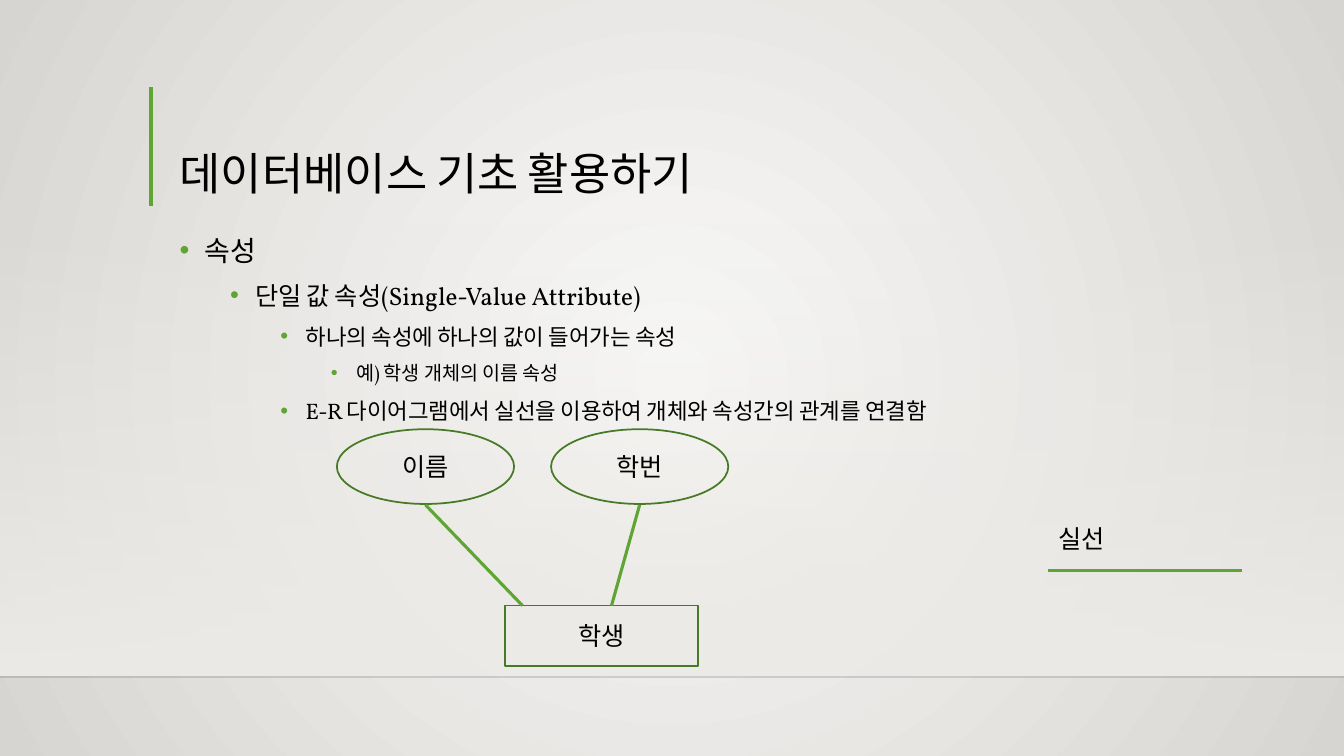
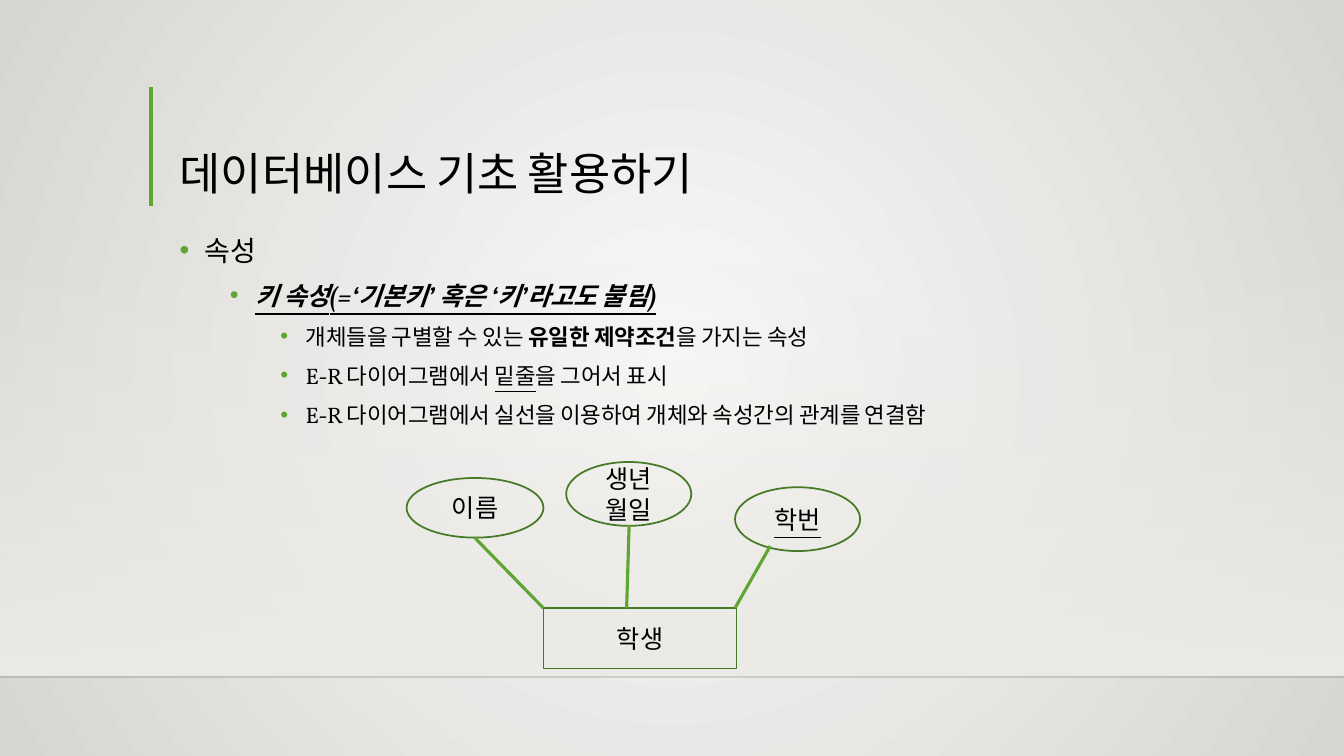
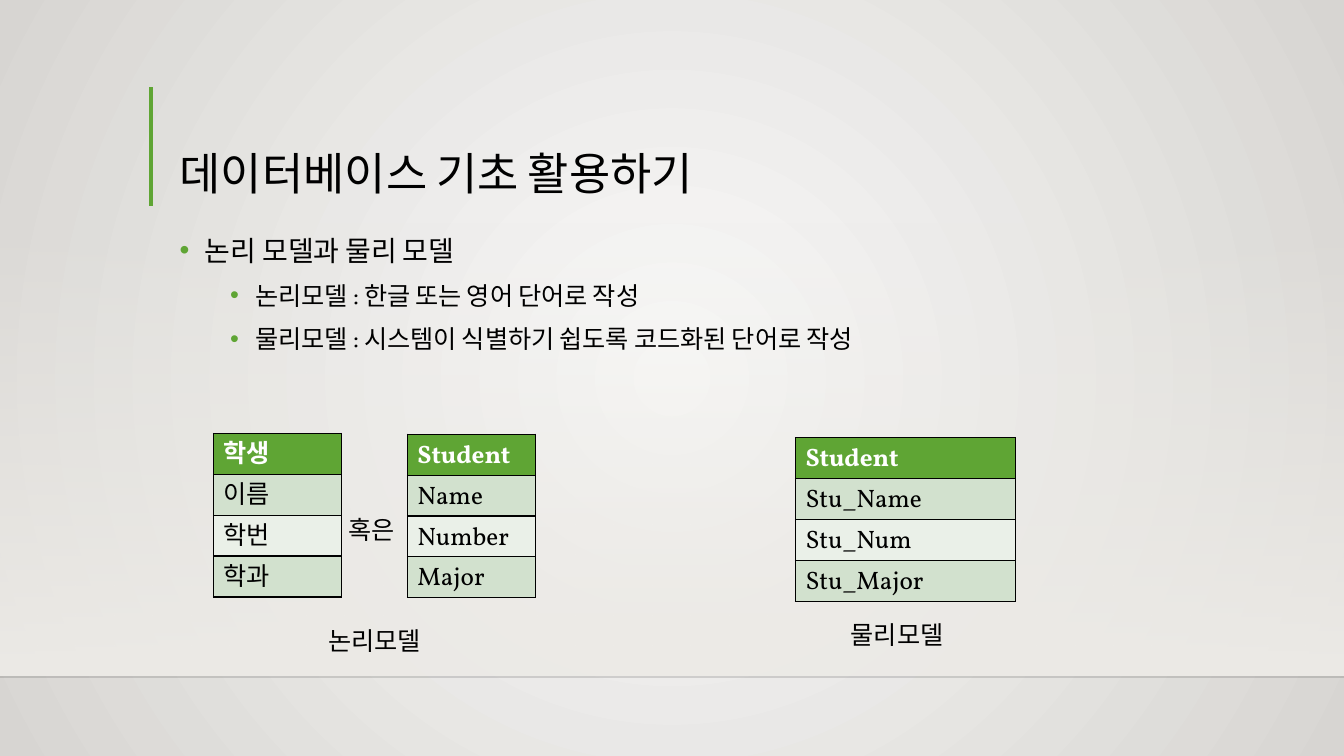
from pptx import Presentation
from pptx import util as u
from pptx.dml.color import RGBColor
from pptx.enum import shapes, text
from pptx.oxml.ns import qn
from lxml import etree

COLORS = {
    "ink": "000000", "paper": "FFFFFF", "accent": "5FA534", "outline": "467A26",
    "glow": "FAFAF9", "edge": "D7D5D2", "band": "EDEBE7", "rule": "000001",
    "odd_row": "D2E1CE", "even_row": "EAF0E8",
}
FONT = "Vollkorn"
COLUMNS, ROWS = 160, 90
WIDTH, HEIGHT = u.Inches(13.33), u.Inches(7.5)
TITLE = "데이터베이스 기초 활용하기"
LEVEL_SIZES = [20, 18, 16, 14]
BODY_WIDTH = 124.9
ENTITY_SIZE = (23, 7.2)
TABLE_ROW = 4.87


def color(name):
    return RGBColor.from_string(COLORS[name])


def add_xml(parent, tag, **attributes):
    return etree.SubElement(parent, qn(tag), attributes)


def assign(target, values):
    for name, value in values.items():
        setattr(target, name, value)


def set_opacity(parent, percent):
    add_xml(next(parent.iter(qn("a:srgbClr"))), "a:alpha", val=str(percent * 1000))


class Deck:
    """Holds the deck style and the current slide, and draws each kind of element."""

    def __init__(self):
        self.prs = Presentation()
        assign(self.prs, {"slide_width": WIDTH, "slide_height": HEIGHT})
        self.slide = None

    def grid(self, *lengths):
        units = (WIDTH / COLUMNS, HEIGHT / ROWS)
        return [round(length * units[i % 2]) for i, length in enumerate(lengths)]

    def new_slide(self):
        self.slide = self.prs.slides.add_slide(self.prs.slide_layouts[6])
        self.backdrop()
        self.band()
        self.line(0, 80.6, COLUMNS, 80.6, "rule", 1, opacity=20)
        self.line(18, 10.4, 18, 24.5, "accent", 3)
        frame = self.text_box(20.2, 10.6, BODY_WIDTH, 13.8,
                              vertical_anchor=text.MSO_ANCHOR.BOTTOM)
        frame.paragraphs[0].line_spacing = 0.9
        self.add_runs(frame.paragraphs[0], [TITLE], size=32)

    def gradient(self, fill, *names):
        fill.gradient()
        for stop, name in zip(fill.gradient_stops, names):
            stop.color.rgb = color(name)

    def backdrop(self):
        self.gradient(self.slide.background.fill, "glow", "edge")
        gradient = next(self.slide.element.iter(qn("a:gradFill")))
        gradient.remove(gradient.find(qn("a:lin")))
        circle = add_xml(gradient, "a:path", path="circle")
        add_xml(circle, "a:fillToRect", **dict.fromkeys("ltrb", "50000"))

    def band(self):
        band = self.slide.shapes.add_shape(
            shapes.MSO_SHAPE.RECTANGLE, *self.grid(0, 26.4, COLUMNS, 54))
        band.shadow.inherit = False
        band.line.fill.background()
        self.gradient(band.fill, "band", "band")
        band.fill.gradient_angle = 270
        set_opacity(next(band.element.iter(qn("a:gsLst"))), 0)

    def line(self, x1, y1, x2, y2, tone="accent", weight=2.25, opacity=100):
        line = self.slide.shapes.add_connector(
            shapes.MSO_CONNECTOR.STRAIGHT, *self.grid(x1, y1, x2, y2))
        line.line.color.rgb = color(tone)
        line.line.width = u.Pt(weight)
        properties = line.element.spPr
        if opacity < 100:
            set_opacity(properties, opacity)
        add_xml(properties, "a:effectLst")

    def add_runs(self, paragraph, runs, tone="ink", **base):
        for run in runs:
            words, style = run if isinstance(run, tuple) else (run, {})
            piece = paragraph.add_run()
            piece.text = words
            values = {"name": FONT, "size": 18, **base, **style}
            assign(piece.font, {**values, "size": u.Pt(values["size"])})
            piece.font.color.rgb = color(tone)
            latin = piece.font._element.find(qn("a:latin"))
            latin.addnext(etree.Element(qn("a:ea"), typeface=FONT))

    def text_box(self, x, y, width, height, **values):
        box = self.slide.shapes.add_textbox(*self.grid(x, y, width, height))
        assign(box.text_frame, {"word_wrap": True, **values})
        return box.text_frame

    def label(self, x, y, width, words):
        frame = self.text_box(x, y, width, 4.8, word_wrap=False,
                              auto_size=text.MSO_AUTO_SIZE.SHAPE_TO_FIT_TEXT)
        self.add_runs(frame.paragraphs[0], [words])

    def outline(self, items, width=BODY_WIDTH):
        frame = self.text_box(20.2, 26.4, width, 45.2)
        for index, (level, *runs) in enumerate(items):
            paragraph = frame.add_paragraph() if index else frame.paragraphs[0]
            assign(paragraph, {"level": level, "line_spacing": 1.2,
                               "space_before": u.Pt(5 if level else 10)})
            self.add_runs(paragraph, runs, size=LEVEL_SIZES[level])
            self.bullet(paragraph, level)

    def bullet(self, paragraph, level):
        properties = paragraph._p.get_or_add_pPr()
        properties.set("marL", str(u.Inches(0.25 + 0.5 * level)))
        properties.set("indent", str(u.Inches(-0.25)))
        tint = add_xml(properties, "a:buClr")
        add_xml(tint, "a:srgbClr", val=COLORS["accent"])
        add_xml(properties, "a:buFont", typeface="Arial")
        add_xml(properties, "a:buChar", char="•")

    def node(self, kind, x, y, width, height, words, **style):
        node = self.slide.shapes.add_shape(kind, *self.grid(x, y, width, height))
        node.shadow.inherit = False
        node.fill.background()
        node.line.color.rgb = color("outline")
        node.line.width = u.Pt(1.25)
        node.text_frame.vertical_anchor = text.MSO_ANCHOR.MIDDLE
        paragraph = node.text_frame.paragraphs[0]
        paragraph.alignment = text.PP_ALIGN.CENTER
        self.add_runs(paragraph, [words], **style)

    def entity(self, x, y, words):
        self.node(shapes.MSO_SHAPE.RECTANGLE, x, y, *ENTITY_SIZE, words)

    def attribute(self, x, y, width, height, words, **style):
        self.node(shapes.MSO_SHAPE.OVAL, x, y, width, height, words, **style)

    def table(self, x, y, width, entries):
        place = self.grid(x, y, width, TABLE_ROW * len(entries))
        table = self.slide.shapes.add_table(len(entries), 1, *place).table
        for index, words in enumerate(entries):
            table.rows[index].height = self.grid(0, TABLE_ROW)[1]
            cell = table.cell(index, 0)
            self.borders(cell)
            fill = ("odd_row" if index % 2 else "even_row") if index else "accent"
            cell.fill.solid()
            cell.fill.fore_color.rgb = color(fill)
            self.add_runs(cell.text_frame.paragraphs[0], [words],
                          tone="ink" if index else "paper", bold=index == 0)

    def borders(self, cell):
        properties = cell._tc.get_or_add_tcPr()
        for side in "LRTB":
            border = add_xml(properties, f"a:ln{side}", w=str(u.Pt(1)))
            solid = add_xml(border, "a:solidFill")
            add_xml(solid, "a:srgbClr", val=COLORS["ink"])


def single_value_slide(deck):
    deck.new_slide()
    deck.outline([
        (0, "속성"),
        (1, "단일 값 속성(Single-Value Attribute)"),
        (2, "하나의 속성에 하나의 값이 들어가는 속성"),
        (3, "예) 학생 개체의 이름 속성"),
        (2, "E-R 다이어그램에서 실선을 이용하여 개체와 속성간의 관계를 연결함"),
    ])
    deck.label(124.8, 61.7, 8.5, "실선")
    deck.line(124.8, 67.9, 147.8, 67.9)
    deck.entity(60.1, 72.1, "학생")
    for x, name, joint in [(40.1, "이름", 62.2), (65.6, "학번", 72.8)]:
        deck.attribute(x, 51.1, 21.1, 8.9, name)
        deck.line(x + 10.55, 60.1, joint, 72.1)


def key_slide(deck):
    deck.new_slide()
    deck.outline([
        (0, "속성"),
        (1, ("키 속성(=‘기본키’ 혹은 ‘키’라고도 불림)",
             {"bold": True, "italic": True, "underline": True})),
        (2, "개체들을 구별할 수 있는 ", ("유일한 제약조건", {"bold": True}),
         "을 가지는 속성"),
        (2, "E-R 다이어그램에서 ", ("밑줄", {"underline": True}), "을 그어서 표시"),
        (2, "E-R 다이어그램에서 실선을 이용하여 개체와 속성간의 관계를 연결함"),
    ], width=132.1)
    deck.entity(64.7, 72.4, "학생")
    deck.attribute(48.4, 56.9, 16.3, 7.1, "이름")
    deck.attribute(67.4, 55, 14.9, 7.6, "생년월일")
    deck.attribute(87.5, 58, 14.9, 7.6, "학번", underline=True)
    for x, y, joint in [(56.5, 64, 64.7), (74.9, 62.5, 74.6), (91.7, 65, 87.5)]:
        deck.line(x, y, joint, 72.4)


def model_slide(deck):
    deck.new_slide()
    deck.outline([
        (0, "논리 모델과 물리 모델"),
        (1, "논리모델 : 한글 또는 영어 단어로 작성"),
        (1, "물리모델 : 시스템이 식별하기 쉽도록 코드화된 단어로 작성"),
    ])
    deck.table(25.4, 51.6, 15.3, ["학생", "이름", "학번", "학과"])
    deck.table(48.5, 51.7, 15.3, ["Student", "Name", "Number", "Major"])
    deck.table(94.7, 52.1, 26.2, ["Student", "Stu_Name", "Stu_Num", "Stu_Major"])
    deck.label(40.3, 60.6, 8.5, "혹은")
    deck.label(37.9, 73.8, 14.5, "논리모델")
    deck.label(100.1, 73.1, 14.5, "물리모델")


def main():
    deck = Deck()
    for build in (single_value_slide, key_slide, model_slide):
        build(deck)
    deck.prs.save("out.pptx")


if __name__ == "__main__":
    main()
